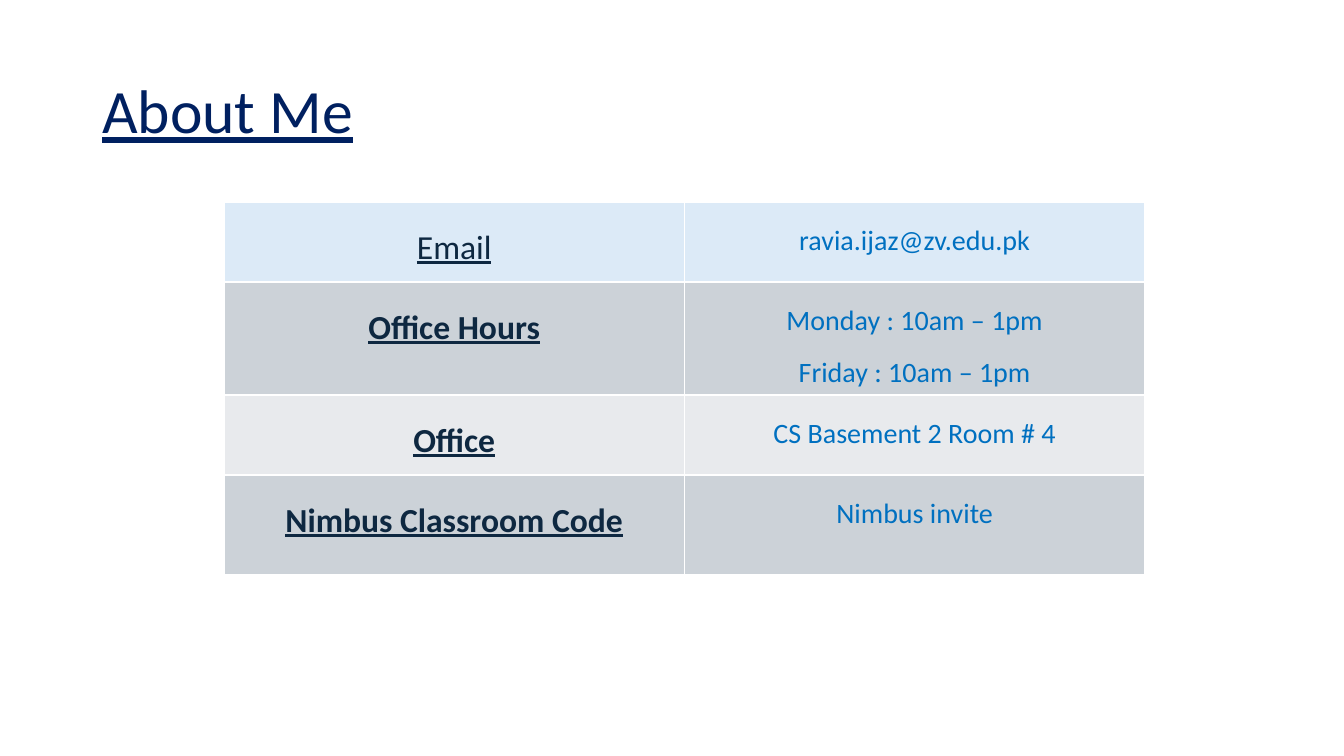
import pptx
import pptx.util
import pptx.dml.color
import pptx.enum.text
import pptx.oxml.ns
import lxml.etree

RGB = pptx.dml.color.RGBColor
NAVY = RGB(0x00, 0x20, 0x60)
INK = RGB(0x0E, 0x28, 0x41)
BLUE = RGB(0x00, 0x70, 0xC0)
WHITE = RGB(0xFF, 0xFF, 0xFF)
SKY = RGB(0xDC, 0xEA, 0xF7)
GREY = RGB(0xCC, 0xD2, 0xD8)
PALE = RGB(0xE8, 0xEA, 0xED)

FONT = "Calibri"
ALIGN = pptx.enum.text.PP_ALIGN

# Label, label is bold, value lines, fill, row height in px
ROWS = [
    ("Email", False, ["ravia.ijaz@zv.edu.pk"], SKY, 80),
    ("Office Hours", True,
     ["Monday : 10am – 1pm", "Friday : 10am – 1pm"], GREY, 109),
    ("Office", True, ["CS Basement 2 Room # 4"], PALE, 80),
    ("Nimbus Classroom Code", True, ["Nimbus invite"], GREY, 100),
]


def px(n):
    return pptx.util.Emu(round(n * 914400 / 100.8))


def write(para, text, size, color, bold=False, under=False):
    run = para.add_run()
    run.text = text
    font = run.font
    font.name = FONT
    font.size = pptx.util.Pt(size)
    font.color.rgb = color
    font.bold = bold
    font.underline = under


def add_title(slide, text):
    title = slide.shapes.title
    title.left, title.top = px(92), px(41)
    title.width, title.height = px(1159), px(146)
    frame = title.text_frame
    frame.vertical_anchor = pptx.enum.text.MSO_ANCHOR.MIDDLE
    para = frame.paragraphs[0]
    para.alignment = ALIGN.LEFT
    para.line_spacing = 0.9
    write(para, text, 44, NAVY, under=True)


def edge(cell):
    """Give a cell thin white borders; call before filling it."""
    props = cell._tc.get_or_add_tcPr()
    qn = pptx.oxml.ns.qn
    for side in "LRTB":
        line = lxml.etree.SubElement(
            props, qn("a:ln" + side), w=str(pptx.util.Pt(1)))
        fill = lxml.etree.SubElement(line, qn("a:solidFill"))
        lxml.etree.SubElement(fill, qn("a:srgbClr"), val=str(WHITE))


def fill_cell(cell, lines, fill, size, color, bold=False, under=False):
    edge(cell)
    cell.fill.solid()
    cell.fill.fore_color.rgb = fill
    frame = cell.text_frame
    for i, text in enumerate(lines):
        para = frame.add_paragraph() if i else frame.paragraphs[0]
        para.alignment = ALIGN.CENTER
        para.line_spacing = 1.5
        write(para, text, size, color, bold, under)


def add_facts(slide):
    high = sum(row[-1] for row in ROWS)
    table = slide.shapes.add_table(
        len(ROWS), 2, px(224), px(202), px(921), px(high)).table
    table.first_row = False
    table.horz_banding = False
    for i, (label, bold, lines, fill, tall) in enumerate(ROWS):
        table.rows[i].height = px(tall)
        fill_cell(table.cell(i, 0), [label], fill, 24, INK, bold, True)
        fill_cell(table.cell(i, 1), lines, fill, 20, BLUE)


def main():
    deck = pptx.Presentation()
    deck.slide_width, deck.slide_height = px(1344), px(756)
    slide = deck.slides.add_slide(deck.slide_layouts[5])
    # Heading
    add_title(slide, "About Me")
    # Contact table
    add_facts(slide)
    deck.save("out.pptx")


if __name__ == "__main__":
    main()
